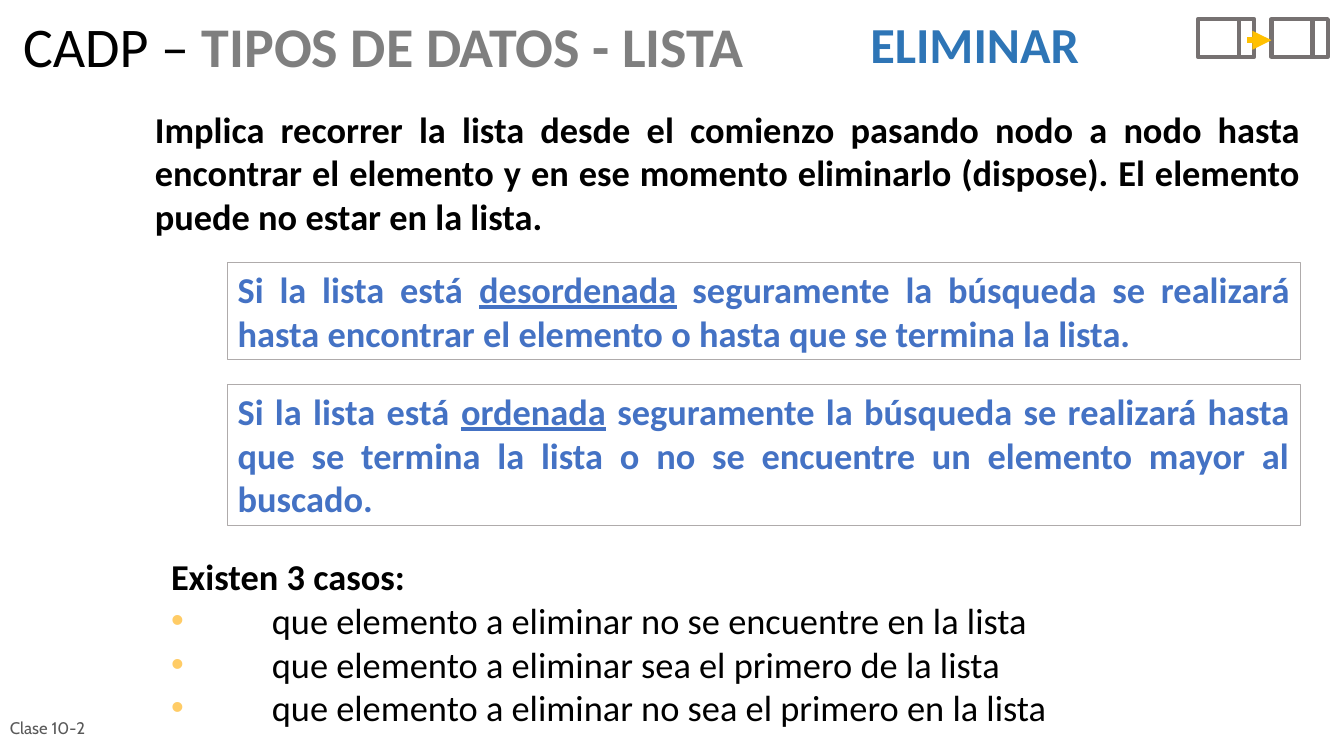
from dataclasses import dataclass
from lxml.etree import SubElement
from pptx import Presentation
from pptx.dml.color import RGBColor
from pptx.enum.shapes import MSO_CONNECTOR, MSO_SHAPE
from pptx.enum.text import MSO_ANCHOR, MSO_AUTO_SIZE, PP_ALIGN
from pptx.oxml.ns import qn
from pptx.util import Inches, Pt


@dataclass(frozen=True)
class Theme:
    """Colours, fonts and point sizes of the slide."""
    ink: str = "000000"
    gray: str = "7F7F7F"
    topic: str = "2E75B6"
    rule: str = "4472C4"
    edge: str = "AFABAB"
    node: str = "767171"
    arrow: str = "FFC000"
    dot: str = "FFCC66"
    note: str = "595959"
    font: str = "Calibri"
    small: str = "Cabin"
    head: int = 40
    sub: int = 36
    body: int = 26
    foot: int = 12


@dataclass(frozen=True)
class Box:
    """A region in EMU, divided into 100 columns and 100 rows."""
    left: int
    top: int
    width: int
    height: int

    def spot(self, col, row):
        """Return the point at a column and row."""
        return (int(self.left + self.width * col / 100),
                int(self.top + self.height * row / 100))

    def cut(self, col, row, cols, rows):
        """Return a smaller box within this one."""
        return Box(*self.spot(col, row), int(self.width * cols / 100),
                   int(self.height * rows / 100))

    def rect(self):
        """Return left, top, width and height."""
        return self.left, self.top, self.width, self.height


THEME = Theme()


def color(code):
    """Turn a hex code into a colour."""
    return RGBColor.from_string(code)


def add_run(para, text, size, tint, bold=False, line=False, font=THEME.font):
    """Add one formatted run to a paragraph."""
    run = para.add_run()
    run.text = text
    face = run.font
    face.name, face.size, face.bold = font, Pt(size), bold
    face.underline = line
    face.color.rgb = color(tint)


def set_frame(shape, align=PP_ALIGN.JUSTIFY, anchor=MSO_ANCHOR.TOP):
    """Set up wrapping and alignment; return the first paragraph."""
    frame = shape.text_frame
    frame.word_wrap = True
    frame.auto_size = MSO_AUTO_SIZE.NONE
    frame.vertical_anchor = anchor
    para = frame.paragraphs[0]
    para.alignment = align
    return para


def add_text(slide, box, text, size, tint, bold=True):
    """Add a justified text box and return its frame."""
    shape = slide.shapes.add_textbox(*box.rect())
    add_run(set_frame(shape), text, size, tint, bold)
    return shape.text_frame


def add_frame(slide, box, tint, width):
    """Add an unfilled rectangle with an outline."""
    shape = slide.shapes.add_shape(MSO_SHAPE.RECTANGLE, *box.rect())
    shape.shadow.inherit = False
    shape.fill.background()
    shape.line.color.rgb = color(tint)
    shape.line.width = Pt(width)
    return shape


def add_line(slide, start, end, tint, width, arrow=False):
    """Join two points, with an arrowhead if asked."""
    line = slide.shapes.add_connector(MSO_CONNECTOR.STRAIGHT, *start, *end)
    line.line.color.rgb = color(tint)
    line.line.width = Pt(width)
    props = line._element.spPr
    if arrow:
        SubElement(props.find(qn("a:ln")), qn("a:tailEnd"), type="triangle")
    SubElement(props, qn("a:effectLst"))


def add_title(slide, box):
    """Place and fill the title placeholder."""
    title = slide.shapes.title
    title.left, title.top, title.width, title.height = box.rect()
    para = set_frame(title, PP_ALIGN.LEFT)
    para.line_spacing = 0.9
    add_run(para, "CADP – ", THEME.head, THEME.ink)
    add_run(para, "TIPOS DE DATOS - LISTA", THEME.head, THEME.gray, True)


def add_icon(slide, box):
    """Draw two list nodes joined by an arrow."""
    for col in (0, 56.59):
        node = box.cut(col, 0, 43.41, 98)
        add_frame(slide, node, THEME.node, 3)
        add_line(slide, node.spot(73, 0), node.spot(73, 102), THEME.node, 3)
    add_line(slide, box.spot(38, 55), box.spot(56.59, 55),
             THEME.arrow, 4.5, True)


def add_rule(slide, box, word, rest):
    """Add a framed rule with its key word underlined."""
    para = set_frame(add_frame(slide, box, THEME.edge, 0.5))
    for text, line in (("Si la lista está ", False), (word, True),
                       (" seguramente la búsqueda se realizará hasta " + rest, False)):
        add_run(para, text, THEME.body, THEME.rule, True, line)


def add_dot(para, indent):
    """Give a paragraph a coloured bullet and hanging indent."""
    props = para._p.get_or_add_pPr()
    props.set("marL", str(indent))
    props.set("indent", str(-indent))
    tint = SubElement(props, qn("a:buClr"))
    SubElement(tint, qn("a:srgbClr"), val=THEME.dot)
    SubElement(props, qn("a:buFont"), typeface="Arial")
    SubElement(props, qn("a:buChar"), char="•")


def add_cases(slide, box):
    """List the cases under a bold lead."""
    frame = add_text(slide, box, "Existen 3 casos:", THEME.body, THEME.ink)
    for case in ("no se encuentre en la lista", "sea el primero de la lista",
                 "no sea el primero en la lista"):
        para = frame.add_paragraph()
        para.alignment = PP_ALIGN.JUSTIFY
        add_dot(para, Inches(1))
        add_run(para, "que elemento a eliminar " + case, THEME.body, THEME.ink)


def add_foot(slide, box):
    """Add the class number."""
    shape = slide.shapes.add_textbox(*box.rect())
    para = set_frame(shape, PP_ALIGN.LEFT, MSO_ANCHOR.MIDDLE)
    add_run(para, "Clase 10-2", THEME.foot, THEME.note, font=THEME.small)


def add_slide(deck, page):
    """Build the slide on deleting from a list."""
    slide = deck.slides.add_slide(deck.slide_layouts[5])
    add_title(slide, page.cut(0.97, 1.87, 65.52, 10.13))
    add_text(slide, page.cut(64.02, 1.07, 22.79, 9.33), "ELIMINAR",
             THEME.sub, THEME.topic)
    add_icon(slide, page.cut(89.13, 2.53, 9.67, 5.07))
    add_text(slide, page.cut(10.79, 13.47, 86.81, 18.67),
             "Implica recorrer la lista desde el comienzo pasando nodo a nodo "
             "hasta encontrar el elemento y en ese momento eliminarlo "
             "(dispose). El elemento puede no estar en la lista.",
             THEME.body, THEME.ink)
    row = 34.67
    for rows, word, rest in (
            (12.93, "desordenada",
             "encontrar el elemento o hasta que se termina la lista."),
            (18.67, "ordenada", "que se termina la lista o no se encuentre "
             "un elemento mayor al buscado.")):
        add_rule(slide, page.cut(16.94, row, 79.84, rows), word, rest)
        row += rows + 3.2
    add_cases(slide, page.cut(11.99, 72.67, 86.81, 24.53))
    add_foot(slide, page.cut(0, 93.6, 17.47, 5.33))


deck = Presentation()
deck.slide_width, deck.slide_height = Inches(13.34), Inches(7.5)
add_slide(deck, Box(0, 0, deck.slide_width, deck.slide_height))
deck.save("out.pptx")
